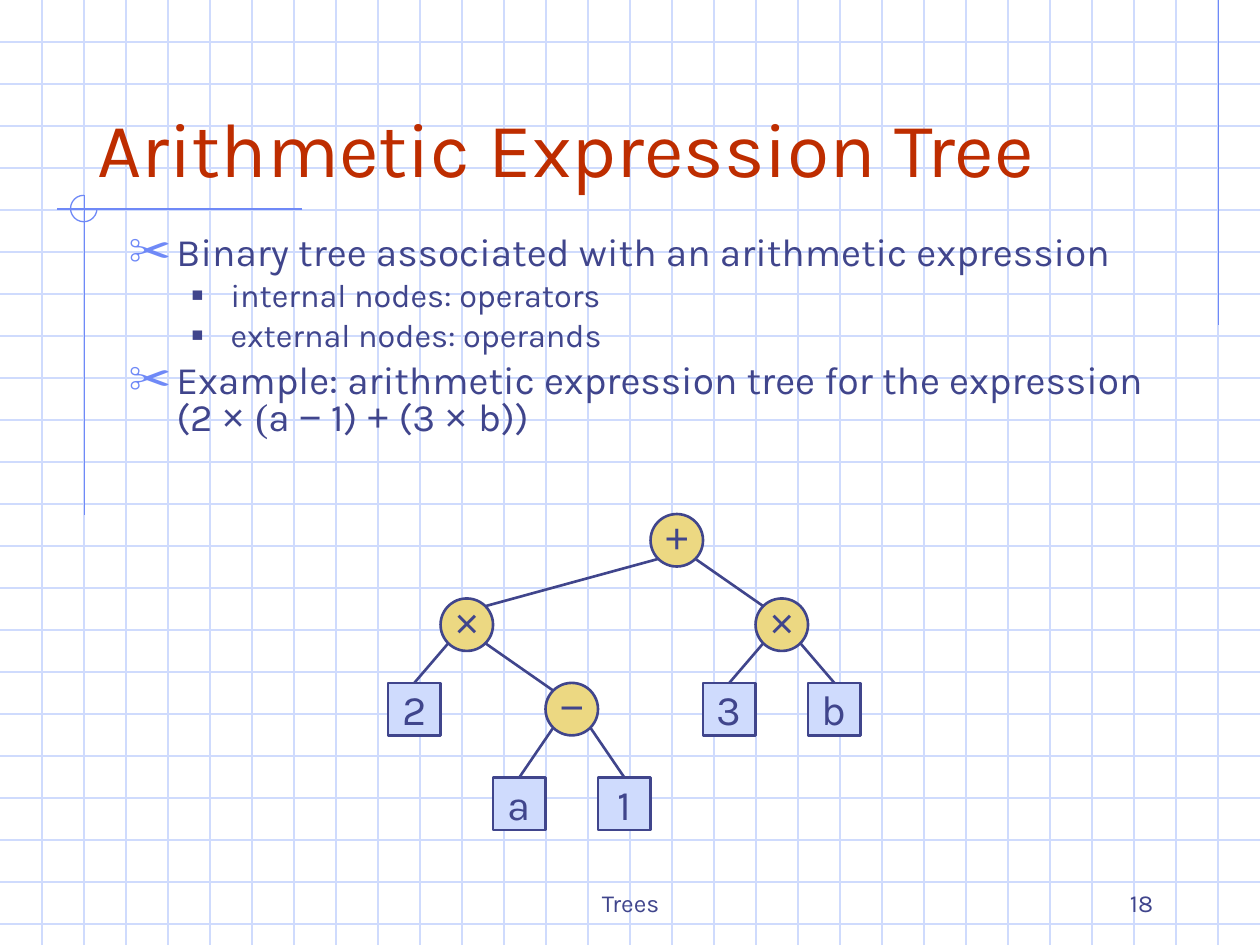
from lxml.etree import SubElement
from pptx import Presentation
from pptx.dml.color import RGBColor
from pptx.enum.shapes import MSO_CONNECTOR, MSO_SHAPE
from pptx.enum.text import MSO_ANCHOR, MSO_AUTO_SIZE, PP_ALIGN
from pptx.oxml.ns import qn
from pptx.util import Inches, Pt

INK = RGBColor(0x40, 0x45, 0x8C)
RED = RGBColor(0xBE, 0x2D, 0x00)
GRID = RGBColor(0xCF, 0xDB, 0xFD)
BLUE = RGBColor(0x6F, 0x89, 0xF7)
GOLD = RGBColor(0xEC, 0xD8, 0x82)

WIDTH, HEIGHT = 10, 7.5
TITLE = "Arithmetic Expression Tree"
BULLETS = [
    (0, [("Binary tree associated with an arithmetic expression", "Karla")]),
    (1, [("internal nodes: operators", "Karla")]),
    (1, [("external nodes: operands", "Karla")]),
    (0, [("Example: arithmetic expression tree for the expression (2 ", "Karla"),
         ("× ", "Arial"), ("(", "Times New Roman"), ("a ", "Karla"),
         ("−", "Arial"), (" 1) ", "Karla"), ("+", "Arial"), (" (3 ", "Karla"),
         ("× ", "Arial"), ("b))", "Karla")]),
]
LEVELS = [
    {"size": 22.2, "before": 6, "left": 0.38, "hang": 0.38,
     "mark": "✂", "mark_color": BLUE, "mark_percent": 110},
    {"size": 18.5, "before": 5, "left": 0.81, "hang": 0.31,
     "mark": "■", "mark_color": INK, "mark_percent": 60},
]
EXPRESSION = ("+", ("×", "2", ("−", "a", "1")), ("×", "3", "b"))
FOOTERS = [
    ("Trees", (3.42, 6.83, 3.17, 0.5), PP_ALIGN.CENTER),
    ("18", (7.17, 6.83, 2.08, 0.5), PP_ALIGN.RIGHT),
]
RULES = [
    (9.67, 0, 9.67, 2.58),
    (2.4, 1.66, 0.45, 1.66),
    (0.67, 1.55, 0.67, 4.09),
]
TREE_LEFT, NODE = 3.08, 5 / 12
ROW_TOPS = [4.08, 4.75, 5.42, 6.17]
RIM = 0.146 * NODE

presentation = Presentation()
presentation.slide_width, presentation.slide_height = Inches(WIDTH), Inches(HEIGHT)
slide = presentation.slides.add_slide(presentation.slide_layouts[1])
shapes = slide.shapes


def apply(target, values):
    for attribute, value in values.items():
        setattr(target, attribute, value)


def place(shape, left, top, width, height):
    apply(shape, {"left": Inches(left), "top": Inches(top),
                  "width": Inches(width), "height": Inches(height)})


def write(paragraph, text, size, color=INK, font="Karla"):
    run = paragraph.add_run()
    apply(run, {"text": text})
    apply(run.font, {"size": Pt(size), "name": font})
    run.font.color.rgb = color


def draw_line(ends, color, weight=0.75):
    line = shapes.add_connector(MSO_CONNECTOR.STRAIGHT, *map(Inches, ends))
    line.line.color.rgb = color
    line.line.width = Pt(weight)
    SubElement(line._element.spPr, qn("a:effectLst"))


def add_bullet(paragraph, level):
    properties = paragraph._p.get_or_add_pPr()
    properties.set("marL", str(Inches(level["left"])))
    properties.set("indent", str(-Inches(level["hang"])))
    color = SubElement(properties, qn("a:buClr"))
    SubElement(color, qn("a:srgbClr"), val=str(level["mark_color"]))
    SubElement(properties, qn("a:buSzPct"), val=str(level["mark_percent"] * 1000))
    SubElement(properties, qn("a:buFont"), typeface="Arial")
    SubElement(properties, qn("a:buChar"), char=level["mark"])


def add_node(label, column, depth, is_operator):
    kind = MSO_SHAPE.OVAL if is_operator else MSO_SHAPE.RECTANGLE
    left, top = TREE_LEFT + column * NODE, ROW_TOPS[depth]
    node = shapes.add_shape(kind, *map(Inches, (left, top, NODE, NODE)))
    node.shadow.inherit = False
    node.fill.solid()
    node.fill.fore_color.rgb = GOLD if is_operator else GRID
    node.line.color.rgb = INK
    node.line.width = Pt(1.5)
    side, upper = (0, 0) if is_operator else (0.1, 0.05)
    frame = node.text_frame
    apply(frame, {"word_wrap": False, "vertical_anchor": MSO_ANCHOR.MIDDLE,
                  "margin_left": Inches(side), "margin_right": Inches(side),
                  "margin_top": Inches(upper), "margin_bottom": Inches(0.05)})
    frame.paragraphs[0].alignment = PP_ALIGN.CENTER
    write(frame.paragraphs[0], label, 24, font="Arial" if is_operator else "Karla")
    return left, top, is_operator


def draw_edge(parent, child, goes_left):
    parent_left, parent_top, _ = parent
    child_left, child_top, child_is_operator = child
    near, far = RIM, NODE - RIM
    start_x = parent_left + (near if goes_left else far)
    end_x = child_left + NODE / 2
    if child_is_operator:
        end_x = child_left + (far if goes_left else near)
        child_top += RIM
    draw_line((start_x, parent_top + far, end_x, child_top), INK, 1.5)


def draw_tree(branch, column=0, depth=0):
    if isinstance(branch, str):
        return add_node(branch, column, depth, False), column + 1
    operator, left_branch, right_branch = branch
    left_child, middle = draw_tree(left_branch, column, depth + 1)
    parent = add_node(operator, middle, depth, True)
    right_child, end = draw_tree(right_branch, middle + 1, depth + 1)
    draw_edge(parent, left_child, True)
    draw_edge(parent, right_child, False)
    return parent, end


for step in range(1, 23):
    draw_line((0, step / 3, WIDTH, step / 3), GRID)
for step in range(1, 30):
    draw_line((step / 3, 0, step / 3, HEIGHT), GRID)
for ends in RULES:
    draw_line(ends, BLUE)
corner = shapes.add_shape(MSO_SHAPE.ARC, *map(Inches, (0.56, 1.55, 0.21, 0.21)))
corner.shadow.inherit = False
corner.fill.background()
corner.line.color.rgb = BLUE
corner.line.width = Pt(0.75)
corner.adjustments[0], corner.adjustments[1] = 0, 162

for text, box, alignment in FOOTERS:
    footer = shapes.add_textbox(*map(Inches, box)).text_frame
    apply(footer, {"word_wrap": True, "vertical_anchor": MSO_ANCHOR.BOTTOM})
    footer.paragraphs[0].alignment = alignment
    write(footer.paragraphs[0], text, 14)

title, body = shapes.title, slide.placeholders[1]
for placeholder in (title, body):
    placeholder._element.getparent().append(placeholder._element)
place(title, 0.67, 0.33, 8.5, 1.25)
apply(title.text_frame, {"vertical_anchor": MSO_ANCHOR.BOTTOM,
                         "auto_size": MSO_AUTO_SIZE.NONE})
title.text_frame.paragraphs[0].alignment = PP_ALIGN.LEFT
write(title.text_frame.paragraphs[0], TITLE, 44, RED)

place(body, 0.92, 1.83, 8.5, 2.08)
outline = body.text_frame
apply(outline, {"vertical_anchor": MSO_ANCHOR.TOP, "auto_size": MSO_AUTO_SIZE.NONE})
for index, (depth, runs) in enumerate(BULLETS):
    item = outline.add_paragraph() if index else outline.paragraphs[0]
    level = LEVELS[depth]
    add_bullet(item, level)
    apply(item, {"level": depth, "line_spacing": 0.8,
                 "space_before": Pt(level["before"] if index else 0)})
    for text, font in runs:
        write(item, text, level["size"], font=font)

draw_tree(EXPRESSION)
presentation.save("out.pptx")
